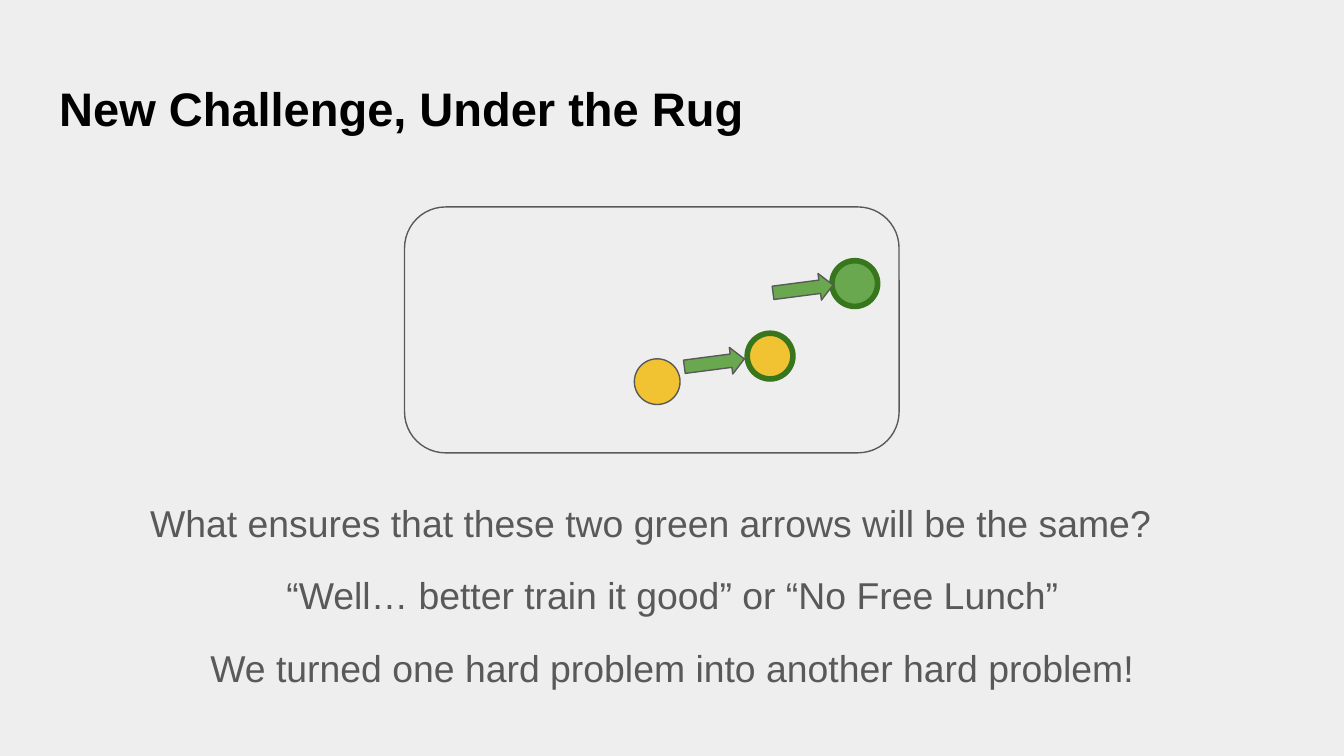
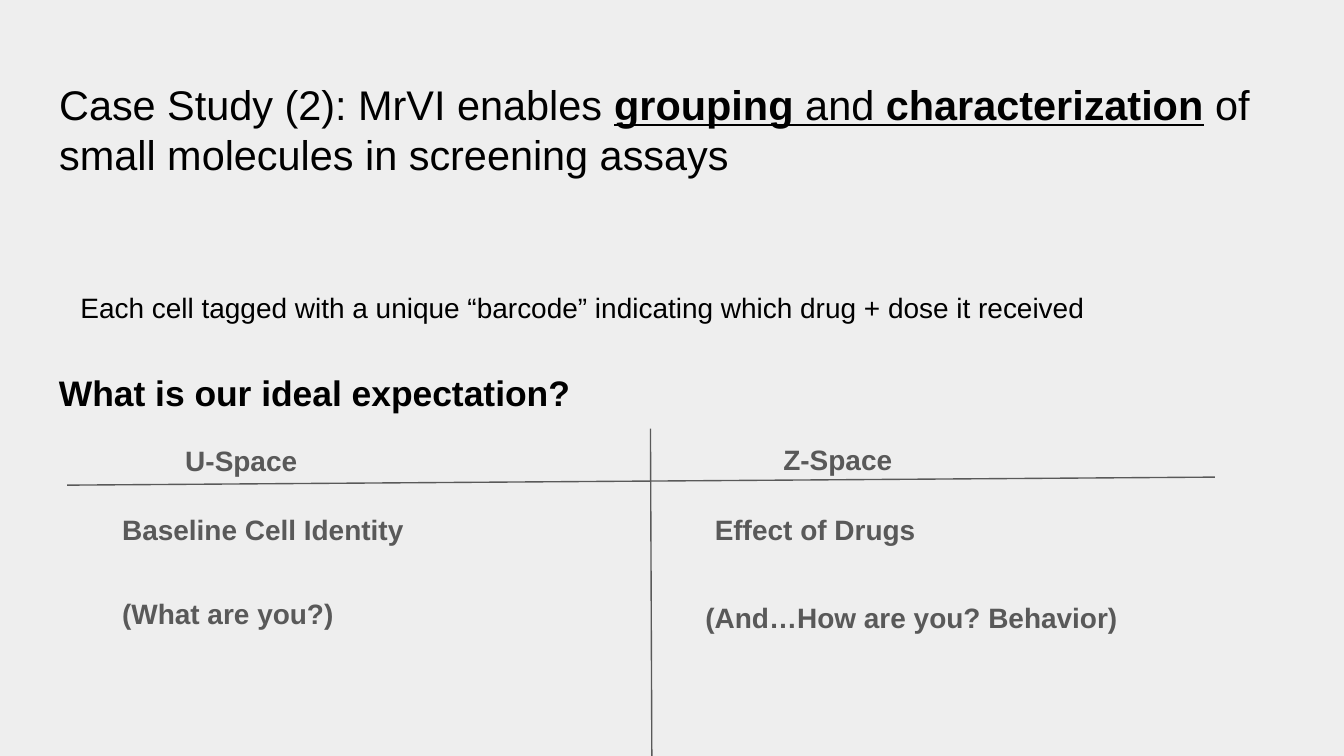
from pptx import Presentation
from pptx.dml.color import RGBColor
from pptx.enum.shapes import MSO_CONNECTOR, MSO_SHAPE
from pptx.enum.text import MSO_ANCHOR, MSO_AUTO_SIZE, PP_ALIGN
from pptx.oxml.ns import qn
from pptx.util import Emu, Pt
from lxml.etree import SubElement

FONT = "Arial"
BACKGROUND = RGBColor(0xEE, 0xEE, 0xEE)
BLACK = RGBColor(0x00, 0x00, 0x00)
GRAY = RGBColor(0x59, 0x59, 0x59)
YELLOW = RGBColor(0xF1, 0xC2, 0x32)
GREEN = RGBColor(0x6A, 0xA8, 0x4F)
DARK_GREEN = RGBColor(0x38, 0x76, 0x1D)

INSET = 20
THIN, THICK = 0.75, 3


def px(n):
    """200 px to the inch."""
    return Emu(n * 4572)


def set_frame(tf):
    tf.word_wrap = True
    tf.auto_size = MSO_AUTO_SIZE.NONE
    tf.vertical_anchor = MSO_ANCHOR.TOP
    tf.margin_left = tf.margin_top = tf.margin_right = tf.margin_bottom = px(INSET)


def style(font, size, color, bold=False, underline=None):
    font.name = FONT
    font.size = Pt(size)
    font.color.rgb = color
    font.bold = bold
    font.underline = underline


def add_title(s, width, size, runs):
    """Fill the title with (text, bold, underline) runs."""
    title = s.shapes.title
    title.left, title.top, title.width, title.height = px(68), px(98), px(width), px(126)
    set_frame(title.text_frame)
    p = title.text_frame.paragraphs[0]
    p.alignment = PP_ALIGN.LEFT
    for text, bold, underline in runs:
        r = p.add_run()
        r.text = text
        style(r.font, size, BLACK, bold, underline)


def add_text(s, x, y, w, h, text, size, color=GRAY, bold=False, align=PP_ALIGN.LEFT):
    tf = s.shapes.add_textbox(px(x), px(y), px(w), px(h)).text_frame
    set_frame(tf)
    tf.text = text
    p = tf.paragraphs[0]
    p.alignment = align
    style(p.runs[0].font, size, color, bold)


def add_shape(s, kind, x, y, w, h, fill, line=GRAY, weight=THIN):
    sp = s.shapes.add_shape(kind, px(x), px(y), px(w), px(h))
    sp.shadow.inherit = False
    sp.fill.solid()
    sp.fill.fore_color.rgb = fill
    sp.line.color.rgb = line
    sp.line.width = Pt(weight)
    return sp


def add_line(s, x1, y1, x2, y2):
    line = s.shapes.add_connector(MSO_CONNECTOR.STRAIGHT, px(x1), px(y1), px(x2), px(y2))
    line.line.color.rgb = GRAY
    line.line.width = Pt(THIN)
    SubElement(line._element.spPr, qn("a:effectLst"))


def add_latent_space(s, x, y, w, h):
    """Rounded panel with points and the two green shifts."""
    panel = add_shape(s, MSO_SHAPE.ROUNDED_RECTANGLE, x, y, w, h, BACKGROUND)
    panel.adjustments[0] = 0.167
    points = [(510, 188, YELLOW, DARK_GREEN, THICK),
              (342, 226, YELLOW, GRAY, THIN),
              (636, 80, GREEN, DARK_GREEN, THICK)]
    for dx, dy, fill, line, weight in points:
        add_shape(s, MSO_SHAPE.OVAL, x + dx, y + dy, 68, 68, fill, line, weight)
    for dx, dy in [(416, 212), (548, 102)]:
        arrow = add_shape(s, MSO_SHAPE.RIGHT_ARROW, x + dx, y + dy, 90, 40, GREEN)
        arrow.rotation = 352.6


def add_remarks(s, x, y, w, row_h):
    remarks = [(-32, "What ensures that these two green arrows will be the same?"),
               (0, "“Well… better train it good” or “No Free Lunch”"),
               (0, "We turned one hard problem into another hard problem!")]
    for i, (dx, text) in enumerate(remarks):
        add_text(s, x + dx, y + i * row_h, w, row_h, text, 20, align=PP_ALIGN.CENTER)


def add_space_comparison(s, x, y, w, h):
    """Two columns split by a vertical rule and a header rule."""
    add_line(s, x + 868, y, x + 870, y + h)
    add_line(s, x + w, y + 72, x, y + 84)
    entries = [(156, 2, 1398, "U-Space"),
               (1046, 0, 1398, "Z-Space"),
               (62, 104, 1398, "Baseline Cell Identity"),
               (944, 104, 1398, "Effect of Drugs"),
               (62, 230, 656, "(What are you?)"),
               (930, 236, 656, "(And…How are you? Behavior)")]
    for dx, dy, width, text in entries:
        add_text(s, x + dx, y + dy, width, 90, text, 15, bold=True)


def build_challenge(prs):
    s = prs.slides.add_slide(prs.slide_layouts[5])
    add_title(s, 1864, 25.2, [("New Challenge, Under the Rug", True, None)])
    add_latent_space(s, 602, 308, 736, 366)
    add_remarks(s, 218, 724, 1566, 108)


def build_case_study(prs):
    s = prs.slides.add_slide(prs.slide_layouts[5])
    add_title(s, 1932, 22.2, [
        ("Case Study (2): MrVI enables ", False, None),
        ("grouping", True, True),
        (" and ", False, True),
        ("characterization", True, True),
        (" of small molecules in screening assays", False, None)])
    add_text(s, 100, 412, 1802, 90,
             "Each cell tagged with a unique “barcode” indicating which drug + dose it received",
             15, BLACK)
    add_text(s, 68, 532, 1802, 104, "What is our ideal expectation?", 19, BLACK, bold=True)
    add_space_comparison(s, 100, 638, 1708, 487)


def main():
    prs = Presentation()
    prs.slide_width, prs.slide_height = px(2000), px(1125)
    fill = prs.slide_master.background.fill
    fill.solid()
    fill.fore_color.rgb = BACKGROUND
    build_challenge(prs)
    build_case_study(prs)
    prs.save("out.pptx")


if __name__ == "__main__":
    main()
